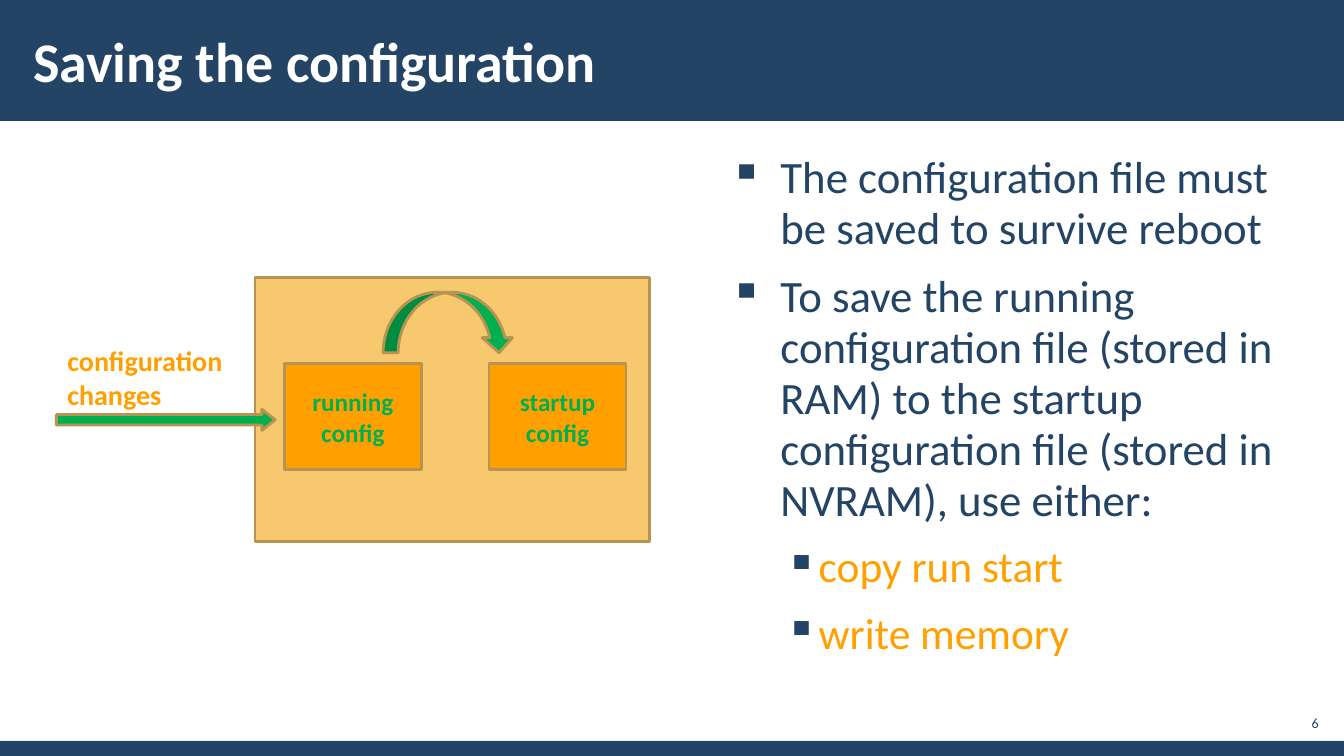
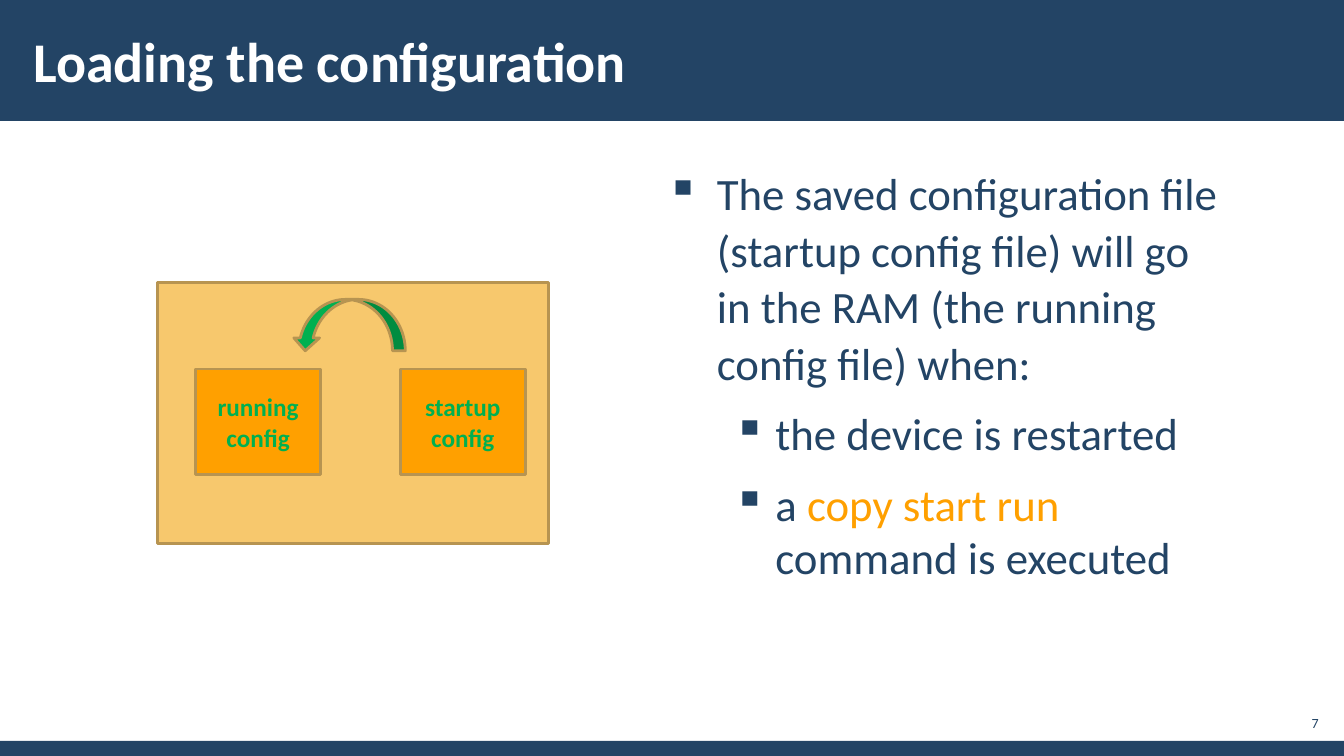
from dataclasses import dataclass

from lxml import etree
from pptx import Presentation
from pptx.dml.color import RGBColor
from pptx.enum.shapes import MSO_SHAPE
from pptx.enum.text import MSO_ANCHOR, PP_ALIGN
from pptx.oxml.ns import qn
from pptx.util import Inches, Pt

RECT = MSO_SHAPE.RECTANGLE
RIGHT_ARROW = MSO_SHAPE.RIGHT_ARROW
CURVED_ARROW = MSO_SHAPE.CURVED_DOWN_ARROW
MIDDLE, TOP = MSO_ANCHOR.MIDDLE, MSO_ANCHOR.TOP
LEFT, CENTER, RIGHT = PP_ALIGN.LEFT, PP_ALIGN.CENTER, PP_ALIGN.RIGHT

FONT = "Calibri"
COLORS = {
    "navy": "234465",
    "white": "FFFFFF",
    "orange": "FFA000",
    "sand": "F7C86D",
    "outline": "B79451",
    "green": "00B050",
}
SLIDE_W, SLIDE_H = 13.33, 7.5
TITLE_BAND_H, FOOTER_BAND_H = 1.2, 0.15
CONFIG_PITCH, CONFIG_DROP, CONFIG_H = 2.03, 0.86, 1.05
BODY_W, BODY_H = 6.02, 5.5
WIDE_INSETS, SMALL_INSETS, PLAIN_INSETS = (0.12, 0.04), (0.04, 0.04), (0.1, 0.05)


@dataclass(frozen=True)
class Box:
    left: float
    top: float
    width: float
    height: float


@dataclass(frozen=True)
class TextStyle:
    size: float
    color: str
    bold: bool = False
    align: PP_ALIGN = LEFT


@dataclass(frozen=True)
class BulletStyle:
    level: int
    margin: float
    hanging: float
    line_spacing: float
    size: float = 32


@dataclass(frozen=True)
class Bullet:
    style: BulletStyle
    segments: tuple[tuple[str, str], ...]  # (text, color name)


@dataclass(frozen=True)
class Device:
    box: Box
    config_left: float
    config_width: float
    arrow: Box
    loads: bool = False


TITLE_STYLE = TextStyle(40, "white", bold=True)
NUMBER_STYLE = TextStyle(10, "navy", align=RIGHT)
CONFIG_STYLE = TextStyle(18, "green", bold=True, align=CENTER)
LABEL_STYLE = TextStyle(20, "orange", bold=True)

SAVE_POINT = BulletStyle(0, 0.5, 0.5, 0.95)
SAVE_COMMAND = BulletStyle(2, 0.88, 0.33, 0.95, 31)
LOAD_POINT = BulletStyle(0, 0.5, 0.5, 1.05)
LOAD_CASE = BulletStyle(1, 1.08, 0.42, 1.0)

SAVE_BULLETS = (
    Bullet(SAVE_POINT, (("The configuration file must\nbe saved to survive reboot", "navy"),)),
    Bullet(SAVE_POINT, ((
        "To save the running\nconfiguration file (stored in\nRAM) to the startup\n"
        "configuration file (stored in\nNVRAM), use either:", "navy"),)),
    Bullet(SAVE_COMMAND, (("copy run start", "orange"),)),
    Bullet(SAVE_COMMAND, (("write memory", "orange"),)),
)
LOAD_BULLETS = (
    Bullet(LOAD_POINT, ((
        "The saved configuration file\n(startup config file) will go\n"
        "in the RAM (the running\nconfig file) when:", "navy"),)),
    Bullet(LOAD_CASE, (("the device is restarted", "navy"),)),
    Bullet(LOAD_CASE, (("a ", "navy"), ("copy start run\n", "orange"),
                       ("command is executed", "navy"))),
)
SAVE_DEVICE = Device(Box(2.53, 2.75, 3.91, 2.62), 2.82, 1.36, Box(3.8, 2.9, 1.3, 0.6))
LOAD_DEVICE = Device(Box(1.56, 2.8, 3.88, 2.59), 1.94, 1.24, Box(2.9, 2.97, 1.12, 0.51),
                     loads=True)


def rgb(name: str) -> RGBColor:
    return RGBColor.from_string(COLORS[name])


def emu(box: Box) -> tuple:
    return tuple(Inches(v) for v in (box.left, box.top, box.width, box.height))


def format_run(r, size: float, color: str, bold: bool = False) -> None:
    r.font.name = FONT
    r.font.size = Pt(size)
    r.font.bold = bold
    r.font.color.rgb = rgb(color)


def set_text(tf, text: str, style: TextStyle) -> None:
    tf.text = text
    for p in tf.paragraphs:
        p.alignment = style.align
        for r in p.runs:
            format_run(r, style.size, style.color, style.bold)


def add_shape(slide, kind, box: Box, fill: str, outline: str | None = None):
    sp = slide.shapes.add_shape(kind, *emu(box))
    sp.shadow.inherit = False
    sp.fill.solid()
    sp.fill.fore_color.rgb = rgb(fill)
    if outline:
        sp.line.color.rgb = rgb(outline)
        sp.line.width = Pt(2)
    else:
        sp.line.fill.background()
    return sp


def add_text_frame(slide, box: Box, insets: tuple[float, float], anchor=TOP):
    tf = slide.shapes.add_textbox(*emu(box)).text_frame
    tf.word_wrap = True
    tf.vertical_anchor = anchor
    tf.margin_left = tf.margin_right = Inches(insets[0])
    tf.margin_top = tf.margin_bottom = Inches(insets[1])
    return tf


def add_base_slide(prs, title: str, number: int):
    """Add a slide with its bands, title and page number."""
    slide = prs.slides.add_slide(prs.slide_layouts[6])
    add_shape(slide, RECT, Box(0, SLIDE_H - FOOTER_BAND_H, SLIDE_W, FOOTER_BAND_H), "navy")
    add_shape(slide, RECT, Box(0, 0, SLIDE_W, TITLE_BAND_H), "navy")
    tf = add_text_frame(slide, Box(0.21, 0.11, 10.4, 0.97), WIDE_INSETS, MIDDLE)
    set_text(tf, title, TITLE_STYLE)
    tf = add_text_frame(slide, Box(12.65, 7, 0.47, 0.34), SMALL_INSETS, MIDDLE)
    set_text(tf, str(number), NUMBER_STYLE)
    return slide


def format_bullet(p, style: BulletStyle) -> None:
    p.level = style.level
    p.line_spacing = style.line_spacing
    p.space_before = p.space_after = Pt(6)
    pPr = p._p.get_or_add_pPr()
    pPr.set("marL", str(Inches(style.margin)))
    pPr.set("indent", str(-Inches(style.hanging)))
    color = etree.SubElement(pPr, qn("a:buClr"))
    etree.SubElement(color, qn("a:srgbClr"), val=COLORS["navy"])
    etree.SubElement(pPr, qn("a:buChar"), char="▪")


def add_bullets(slide, left: float, top: float, bullets: tuple[Bullet, ...]) -> None:
    tf = add_text_frame(slide, Box(left, top, BODY_W, BODY_H), WIDE_INSETS)
    for i, bullet in enumerate(bullets):
        p = tf.add_paragraph() if i else tf.paragraphs[0]
        format_bullet(p, bullet.style)
        for text, color in bullet.segments:
            for j, line in enumerate(text.split("\n")):
                if j:
                    p.add_line_break()
                if line:
                    r = p.add_run()
                    r.text = line
                    format_run(r, bullet.style.size, color)


def add_device(slide, device: Device) -> None:
    """Draw the device, its two config files and the arrow between them."""
    add_shape(slide, RECT, device.box, "sand", "outline")
    for i, name in enumerate(("running config", "startup config")):
        box = Box(device.config_left + i * CONFIG_PITCH, device.box.top + CONFIG_DROP,
                  device.config_width, CONFIG_H)
        sp = add_shape(slide, RECT, box, "orange", "outline")
        sp.text_frame.word_wrap = True
        sp.text_frame.vertical_anchor = MIDDLE
        set_text(sp.text_frame, name, CONFIG_STYLE)
    arrow = add_shape(slide, CURVED_ARROW, device.arrow, "green", "outline")
    if device.loads:
        arrow._element.spPr.get_or_add_xfrm().set("flipH", "1")


def add_changes_arrow(slide) -> None:
    tf = add_text_frame(slide, Box(0.57, 3.36, 1.74, 0.77), PLAIN_INSETS)
    set_text(tf, "configuration\nchanges", LABEL_STYLE)
    arrow = add_shape(slide, RIGHT_ARROW, Box(0.56, 4.06, 2.17, 0.21), "green", "outline")
    arrow.adjustments[1] = 0.63


def main() -> None:
    prs = Presentation()
    prs.slide_width, prs.slide_height = Inches(SLIDE_W), Inches(SLIDE_H)

    slide = add_base_slide(prs, "Saving the configuration", 6)
    add_bullets(slide, 7.12, 1.47, SAVE_BULLETS)
    add_device(slide, SAVE_DEVICE)
    add_changes_arrow(slide)

    slide = add_base_slide(prs, "Loading the configuration", 7)
    add_bullets(slide, 6.49, 1.58, LOAD_BULLETS)
    add_device(slide, LOAD_DEVICE)

    prs.save("out.pptx")


if __name__ == "__main__":
    main()
